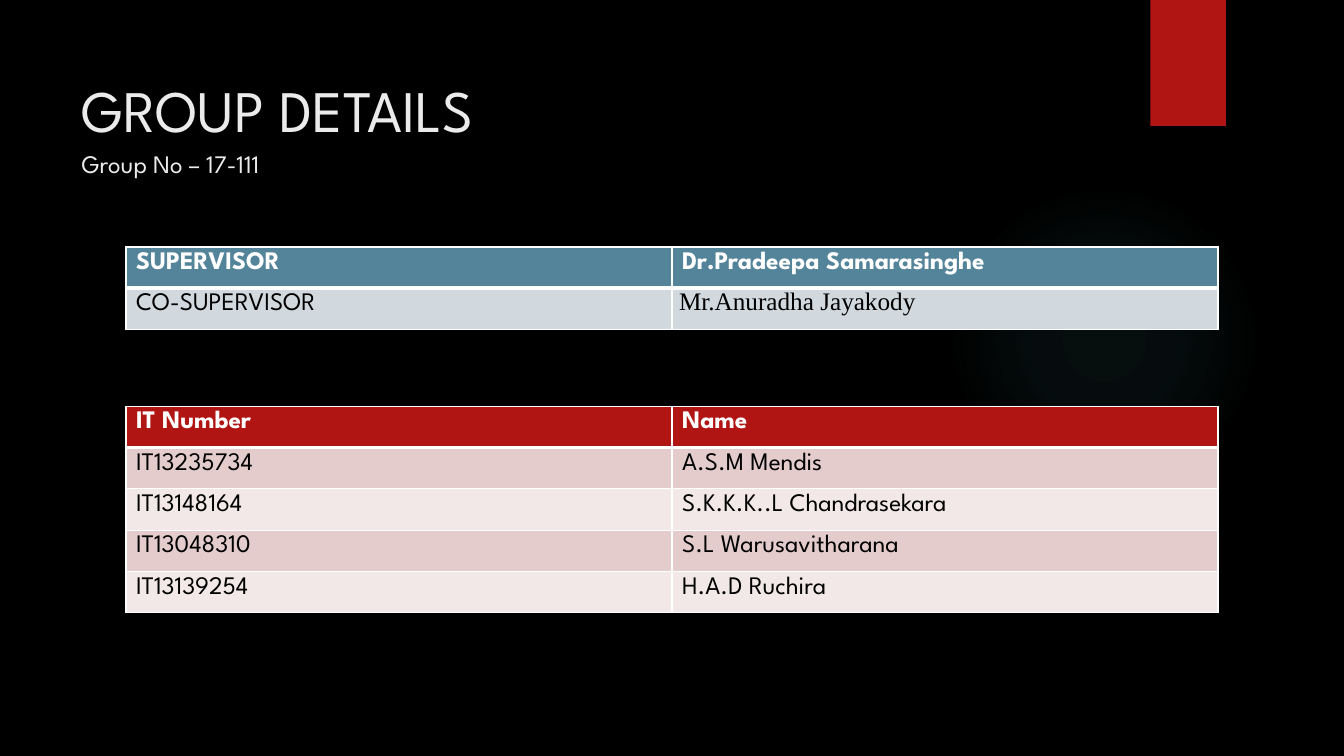
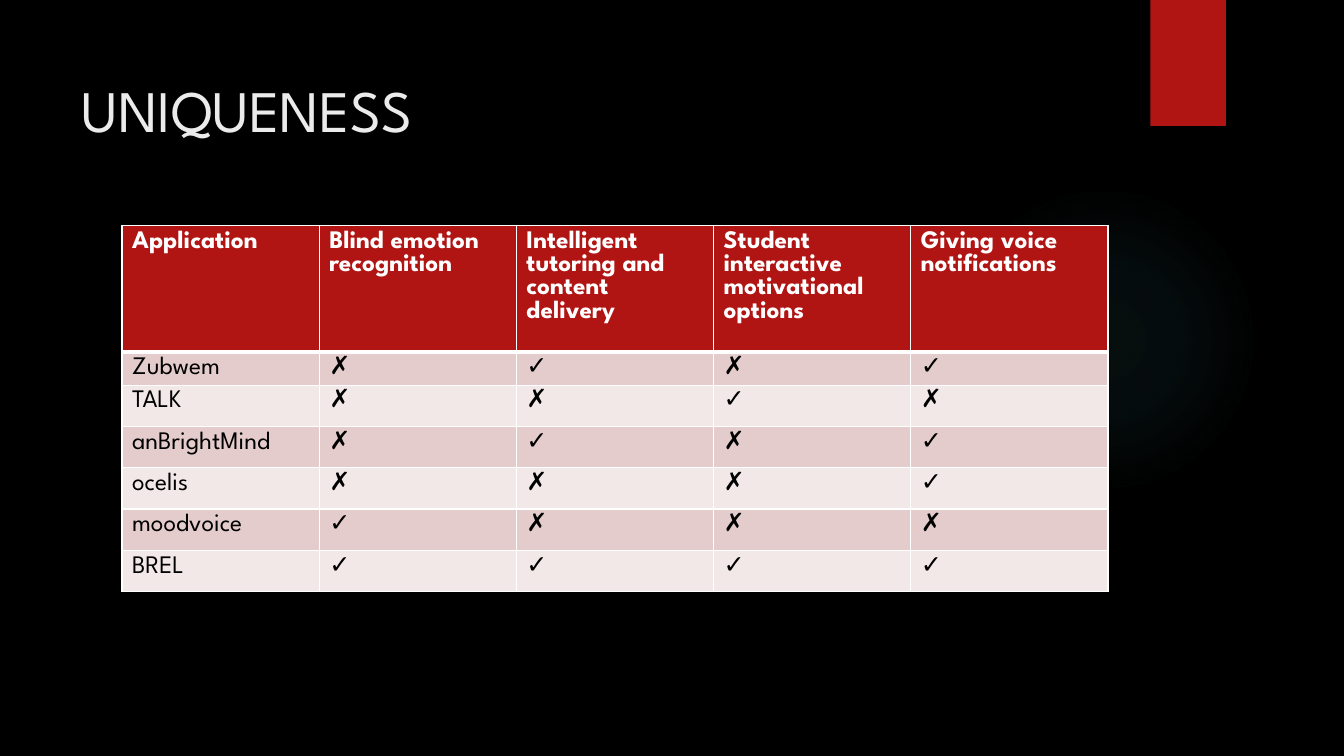
from lxml import etree
from pptx import Presentation
from pptx import util as u
from pptx.dml import color
from pptx.enum import shapes, text
from pptx.oxml import ns

FONT = "League Spartan"
BLACK, WHITE, PALE = "000000", "FFFFFF", "EBEBEB"
RED, BLUE, GLOW = "B01513", "54849A", "50B9C1"
ROSE = (RED, "E4CCCC", "F2E8E7")
STEEL = (BLUE, "D1D9DE", "D1D9DE")
TITLE = (0.71, 0.5, 10.29, 1.53)
HEAD = {"size": u.Pt(18), "name": FONT, "bold": True}
BODY = {**HEAD, "bold": False}
YES, NO = "✓", "✗"

STAFF = [
    ["SUPERVISOR", "Dr.Pradeepa Samarasinghe"],
    ["CO-SUPERVISOR", "Mr.Anuradha Jayakody"],
]
TEAM = [
    ["IT Number", "Name"],
    ["IT13235734", "A.S.M Mendis"],
    ["IT13148164", "S.K.K.K..L Chandrasekara"],
    ["IT13048310", "S.L Warusavitharana"],
    ["IT13139254", "H.A.D Ruchira"],
]
APPS = [
    ["Application", "Blind emotion recognition",
     "Intelligent tutoring and content delivery",
     "Student interactive motivational options",
     "Giving voice notifications"],
    ["Zubwem", NO, YES, NO, YES],
    ["TALK", NO, NO, YES, NO],
    ["anBrightMind", NO, YES, NO, YES],
    ["ocelis", NO, NO, NO, YES],
    ["moodvoice", YES, NO, NO, NO],
    ["BREL", YES, YES, YES, YES],
]


def tint(code):
    return color.RGBColor.from_string(code)


def apply(item, form):
    for key, value in form.items():
        setattr(item, key, value)


def paint(item, code):
    item.fill.solid()
    item.fill.fore_color.rgb = tint(code)


def write(para, words, form, code):
    run = para.add_run()
    run.text = words
    apply(run.font, form)
    run.font.color.rgb = tint(code)
    return run


def node(up, tag, **attrs):
    return etree.SubElement(up, ns.qn(tag), attrs)


def add_plain(slide, kind, box):
    shape = slide.shapes.add_shape(kind, *map(u.Inches, box))
    shape.shadow.inherit = False
    shape.line.fill.background()
    return shape


def add_glow(slide, box):
    shape = add_plain(slide, shapes.MSO_SHAPE.OVAL, box)
    shape.fill.gradient()
    grad = shape.element.spPr.find(ns.qn("a:gradFill"))
    for child in list(grad):
        grad.remove(child)
    stops = node(grad, "a:gsLst")
    for pos, alpha in ((0, 7), (36, 6), (69, 0)):
        stop = node(stops, "a:gs", pos=str(pos * 1000))
        hue = node(stop, "a:srgbClr", val=GLOW)
        node(hue, "a:alpha", val=str(alpha * 1000))
    ring = node(grad, "a:path", path="circle")
    node(ring, "a:fillToRect", **dict.fromkeys("ltrb", "50000"))
    return shape


def add_flag(slide, box):
    shape = add_plain(slide, shapes.MSO_SHAPE.RECTANGLE, box)
    paint(shape, RED)
    return shape


def set_master(deck, slide):
    master = deck.slide_master
    paint(master.background, BLACK)
    decor = (add_glow(slide, (9.41, 1.83, 3.08, 3.08)),
             add_flag(slide, (11.41, 0, 0.75, 1.25)))
    for spot, shape in enumerate(decor, 2):
        master.element.cSld.spTree.insert(spot, shape.element)


def add_title(slide, box, head, sub=None):
    title = slide.shapes.title
    apply(title, dict(zip(("left", "top", "width", "height"),
                          map(u.Inches, box))))
    frame = title.text_frame
    apply(frame, {"word_wrap": True, "auto_size": text.MSO_AUTO_SIZE.NONE,
                  "vertical_anchor": text.MSO_ANCHOR.TOP,
                  "margin_top": u.Inches(0.23)})
    lines = [(head, 42, 0)] + ([(sub, 18, 3)] if sub else [])
    for i, (words, size, gap) in enumerate(lines):
        para = frame.add_paragraph() if i else frame.paragraphs[0]
        apply(para, {"alignment": text.PP_ALIGN.LEFT,
                     "space_before": u.Pt(gap)})
        write(para, words, {"size": u.Pt(size), "name": FONT}, PALE)


def add_edges(cell, top, base):
    props = cell._tc.get_or_add_tcPr()
    sides = (("L", 1), ("R", 1), ("T", top), ("B", base))
    for i, (side, width) in enumerate(sides):
        line = etree.Element(ns.qn("a:ln" + side), w=str(u.Pt(width)))
        node(node(line, "a:solidFill"), "a:srgbClr", val=WHITE)
        props.insert(i, line)


def add_grid(slide, box, rows, tones, highs):
    frame = slide.shapes.add_table(len(rows), len(rows[0]),
                                   *map(u.Inches, box))
    grid = frame.table
    for r, row in enumerate(rows):
        grid.rows[r].height = u.Inches(highs[r])
        tone = tones[0] if r == 0 else tones[2 - r % 2]
        for c, words in enumerate(row):
            cell = grid.cell(r, c)
            paint(cell, tone)
            add_edges(cell, 3 if r == 1 else 1, 1 if r else 3)
            write(cell.text_frame.paragraphs[0], words,
                  BODY if r else HEAD, BLACK if r else WHITE)
    return grid


def add_group(slide):
    add_title(slide, TITLE, "GROUP DETAILS", "Group No – 17-111")
    add_grid(slide, (1.25, 4.03, 10.83, 2.03), TEAM, ROSE, [0.41] * 5)
    grid = add_grid(slide, (1.25, 2.45, 10.83, 0.81), STAFF, STEEL,
                    [0.41] * 2)
    cell = grid.cell(1, 1)
    apply(cell, {"margin_left": u.Inches(0.07), "margin_top": 0,
                 "margin_right": u.Inches(0.07), "margin_bottom": 0})
    para = cell.text_frame.paragraphs[0]
    para.alignment = text.PP_ALIGN.JUSTIFY
    para.runs[0].font.name = "Times New Roman"


def add_unique(slide):
    add_title(slide, TITLE, "UNIQUENESS")
    add_grid(slide, (1.21, 2.24, 9.78, 3.63), APPS, ROSE,
             [1.25, 0.33] + [0.41] * 5)


def main():
    deck = Presentation()
    apply(deck, {"slide_width": u.Inches(13.33),
                 "slide_height": u.Inches(7.5)})
    first, second = (deck.slides.add_slide(deck.slide_layouts[5])
                     for _ in range(2))
    set_master(deck, first)
    add_group(first)
    add_unique(second)
    deck.save("out.pptx")


if __name__ == "__main__":
    main()
